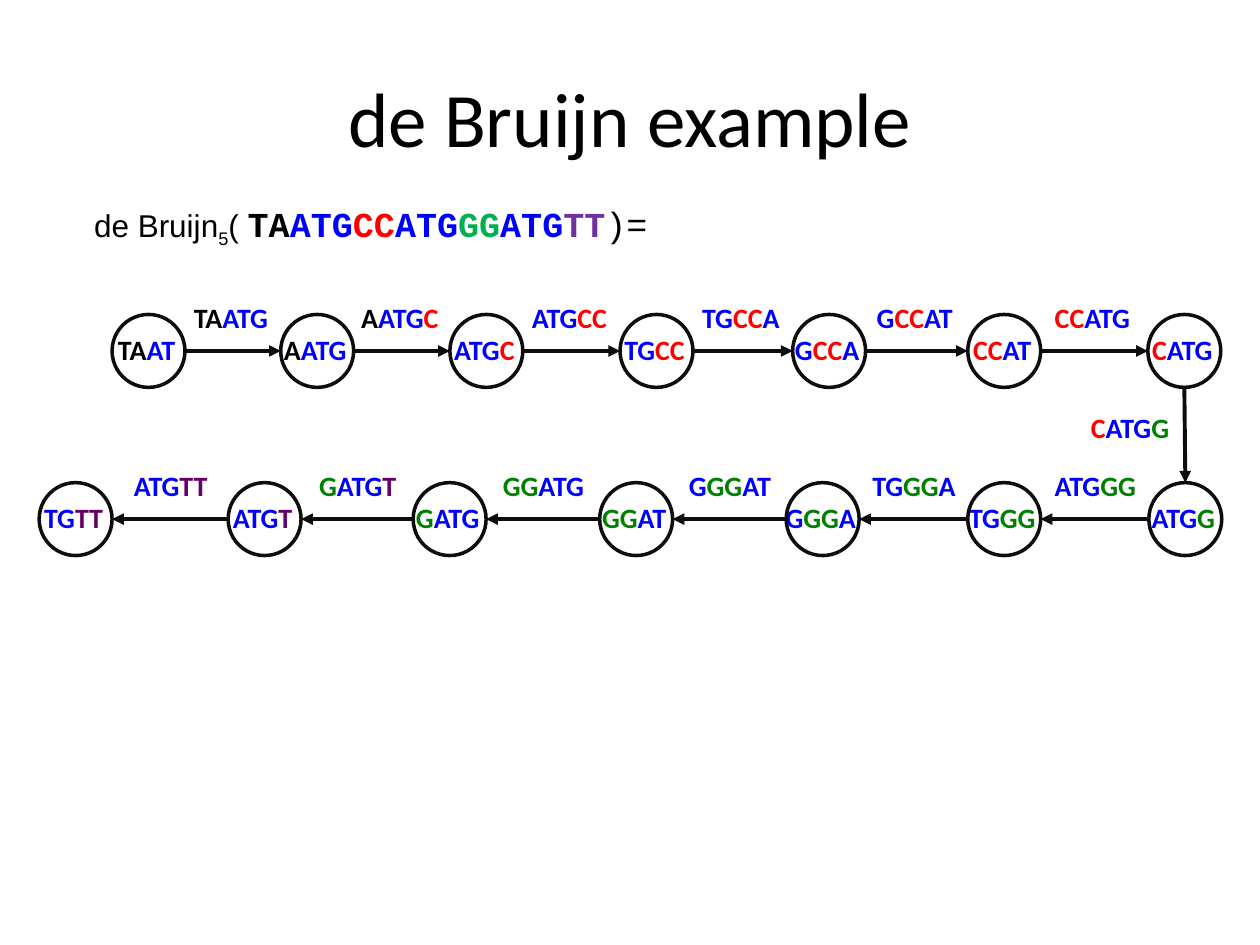
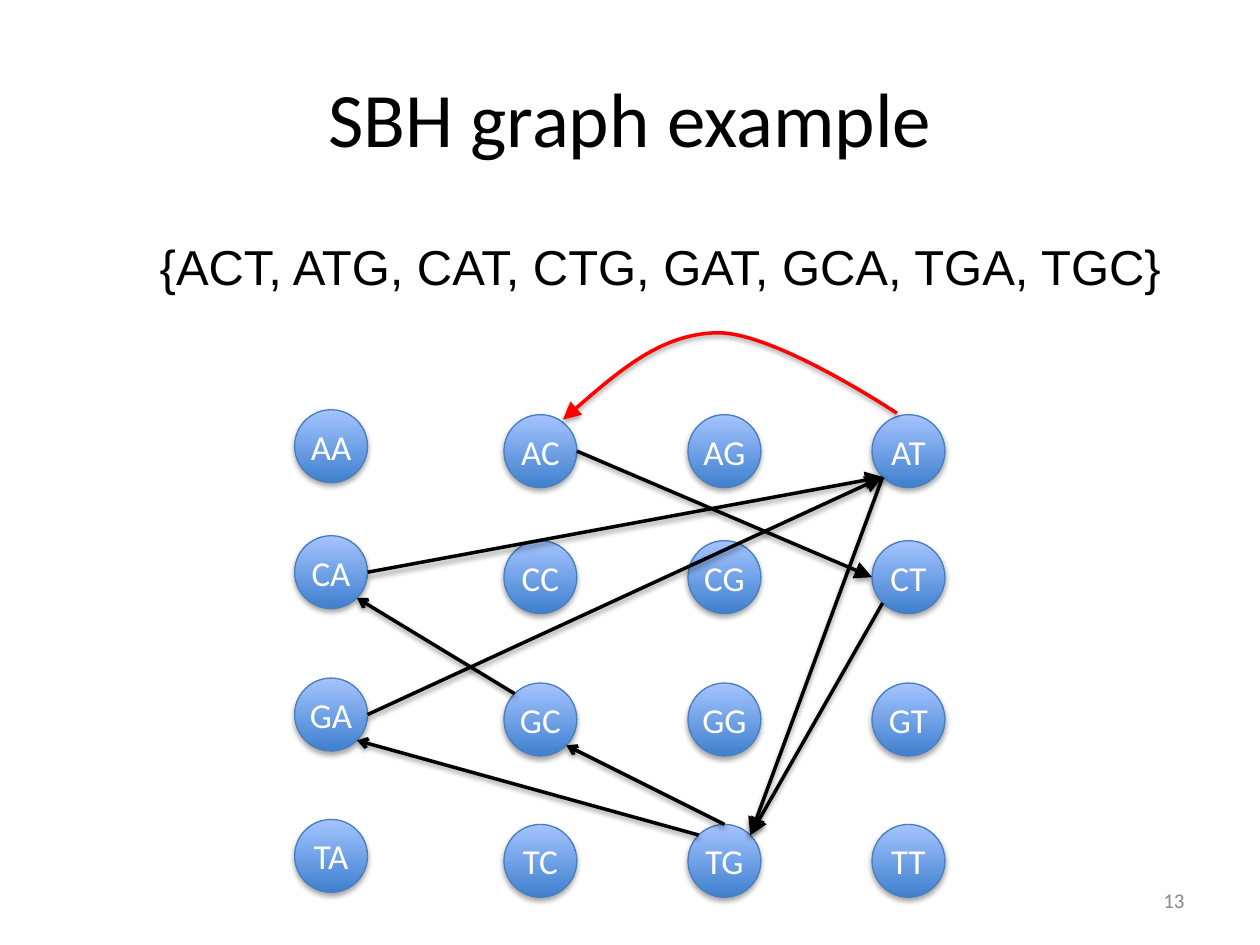
from itertools import product

from lxml import etree
from pptx import Presentation
from pptx import util as u
from pptx.dml.color import RGBColor
from pptx.enum import shapes as kinds, text as txt
from pptx.oxml.ns import qn

COLORS = {
    "ink": "000000", "outline": "0D0D0D", "white": "FFFFFF", "page_number": "898989",
    "repeat": "0000FF", "first_insert": "FF0000", "second_insert": "008000",
    "ending": "660066", "formula_second": "00B050", "formula_ending": "7030A0",
    "node_dark": "3F80CE", "node_light": "A4C4FF", "node_edge": "4B7EBC",
    "missing_edge": "FF0000",
}
HEADING_FONT, BODY_FONT, CODE_FONT = "Calibri", "Arial", "Courier New"
NODE = 1.47
KMER_WIDTHS = {4: 2.1, 5: 2.5}

# Sequence pieces and the colour of their letters
PIECES = [("TA", "ink"), ("ATG", "repeat"), ("CC", "first_insert"), ("ATG", "repeat"),
          ("GG", "second_insert"), ("ATG", "repeat"), ("TT", "ending")]
LETTERS = [(letter, color) for piece, color in PIECES for letter in piece]
FORMULA_COLORS = {"second_insert": "formula_second", "ending": "formula_ending"}

DIAGONAL = 0.71
SIDES = {"N": (0, -1), "E": (1, 0), "W": (-1, 0),
         "NE": (DIAGONAL, -DIAGONAL), "NW": (-DIAGONAL, -DIAGONAL),
         "SE": (DIAGONAL, DIAGONAL), "SW": (-DIAGONAL, DIAGONAL)}


def rgb(name):
    return RGBColor.from_string(COLORS[name])


def cm(*lengths):
    return [u.Cm(length) for length in lengths]


def add_run(paragraph, words, size, font, color="ink", bold=False):
    run = paragraph.add_run()
    run.text = words
    run.font.size, run.font.name, run.font.bold = u.Pt(size), font, bold
    run.font.color.rgb = rgb(color)
    return run


def add_text(shapes, left, top, width, height, wrap=True):
    """Add a text box that grows with its text; return its paragraph."""
    frame = shapes.add_textbox(*cm(left, top, width, height)).text_frame
    frame.word_wrap = wrap
    frame.auto_size = txt.MSO_AUTO_SIZE.SHAPE_TO_FIT_TEXT
    return frame.paragraphs[0]


def set_line(shape, color, width, head=None, tail=None, tip_size="med"):
    shape.line.color.rgb = rgb(color)
    shape.line.width = u.Pt(width)
    outline = shape.element.spPr.find(qn("a:ln"))
    for end, kind in (("a:headEnd", head), ("a:tailEnd", tail)):
        if kind:
            etree.SubElement(outline, qn(end), type=kind, w=tip_size, len=tip_size)


def set_shadow(shape, opacity=0, distance=0):
    """Give the shape a soft shadow below it, or none at opacity 0."""
    effects = etree.SubElement(shape.element.spPr, qn("a:effectLst"))
    if opacity:
        shadow = etree.SubElement(effects, qn("a:outerShdw"), blurRad=str(u.Pt(3.1)),
                                  dist=str(u.Pt(distance)), dir="5400000", rotWithShape="0")
        color = etree.SubElement(shadow, qn("a:srgbClr"), val=COLORS["ink"])
        etree.SubElement(color, qn("a:alpha"), val=str(opacity * 1000))


def add_arrow(shapes, start, end, color, width, tail="triangle", tip_size="med"):
    arrow = shapes.add_connector(kinds.MSO_CONNECTOR.STRAIGHT, *cm(*start, *end))
    set_line(arrow, color, width, tail=tail, tip_size=tip_size)
    return arrow


def add_circle(shapes, left, top):
    return shapes.add_shape(kinds.MSO_SHAPE.OVAL, *cm(left, top, NODE, NODE))


def add_titled_slide(deck, heading):
    slide = deck.slides.add_slide(deck.slide_layouts[5])
    title = slide.shapes.title
    title.left, title.top, title.width, title.height = cm(1.27, 0.76, 22.86, 3.18)
    title.text_frame.vertical_anchor = txt.MSO_ANCHOR.MIDDLE
    paragraph = title.text_frame.paragraphs[0]
    paragraph.alignment = txt.PP_ALIGN.CENTER
    add_run(paragraph, heading, 44, HEADING_FONT)
    return slide


def add_kmer(shapes, start, length, center, top):
    """Write the letters of the sequence from start, centred, in their colours."""
    width = KMER_WIDTHS[length]
    paragraph = add_text(shapes, center - 0.04 - width / 2, top, width, 0.94, wrap=False)
    paragraph.alignment = txt.PP_ALIGN.CENTER
    runs = []
    for letter, color in LETTERS[start:start + length]:
        if runs and runs[-1][1] == color:
            runs[-1][0] += letter
        else:
            runs.append([letter, color])
    for words, color in runs:
        add_run(paragraph, words, 16, HEADING_FONT, color, bold=True)


def add_formula(slide, left, top):
    paragraph = add_text(slide.shapes, left, top, 14.88, 1.12)
    add_run(paragraph, " ", 18, BODY_FONT, bold=True)
    add_run(paragraph, "de Bruijn", 18, BODY_FONT)
    order = add_run(paragraph, "5", 18, BODY_FONT)
    order.font._element.set("baseline", "-25000")
    add_run(paragraph, "( ", 18, BODY_FONT)
    for piece, color in PIECES:
        add_run(paragraph, piece, 20, CODE_FONT, FORMULA_COLORS.get(color, color), bold=True)
    add_run(paragraph, ")=", 20, CODE_FONT)


def add_kmer_row(shapes, first, lefts, top, direction, label_shift=0):
    """Draw a row of 4-mers joined by 5-mers; direction is 1 rightwards, -1 leftwards."""
    middle = top + NODE / 2
    for step, left in enumerate(lefts):
        center = left + NODE / 2
        add_kmer(shapes, first + step, 4, center, top + 0.24)
        circle = add_circle(shapes, left, top)
        circle.fill.background()
        set_line(circle, "outline", 2)
        set_shadow(circle)
        if step + 1 < len(lefts):
            reach = direction * NODE / 2
            start, end = center + reach, lefts[step + 1] + NODE / 2 - reach
            set_shadow(add_arrow(shapes, (start, middle), (end, middle), "outline", 2.25))
            add_kmer(shapes, first + step, 5, (start + end) / 2 + label_shift, top - 0.41)


def add_de_bruijn_graph(slide, left, top):
    upper = [left + x for x in (1.47, 4.87, 8.28, 11.71, 15.19, 18.72, 22.35)]
    lower = [left + x for x in (22.37, 18.72, 15.06, 11.3, 7.54, 3.81, 0)]
    lower_top = top + 3.39
    graph = slide.shapes.add_group_shape().shapes
    add_kmer_row(graph, 0, upper, top, 1)
    turn = len(upper) - 1
    set_shadow(add_arrow(graph, (upper[-1] + NODE / 2, top + NODE),
                         (lower[0] + NODE / 2, lower_top), "outline", 2.25))
    add_kmer(graph, turn, 5, upper[-1] - 0.32, top + 1.81)
    add_kmer_row(graph, turn + 1, lower, lower_top, -1, label_shift=0.05)


def add_dimer(shapes, dimer, left, top):
    circle = add_circle(shapes, left, top)
    circle.fill.gradient()
    circle.fill.gradient_angle = 90
    for stop, color in zip(circle.fill.gradient_stops, ("node_dark", "node_light")):
        stop.color.rgb = rgb(color)
    set_line(circle, "node_edge", 0.75)
    set_shadow(circle, 35, 1.8)
    frame = circle.text_frame
    frame.margin_left = frame.margin_top = frame.margin_right = frame.margin_bottom = 0
    frame.vertical_anchor = txt.MSO_ANCHOR.MIDDLE
    frame.paragraphs[0].alignment = txt.PP_ALIGN.CENTER
    add_run(frame.paragraphs[0], dimer, 20, HEADING_FONT, "white")


def add_curve(shapes, points):
    """Draw Bezier segments: a start, then two controls and an end for each."""
    points = [tuple(cm(*point)) for point in points]
    builder = shapes.build_freeform(*points[0])
    builder.add_line_segments(points[1:], close=False)
    curve = builder.convert_to_shape()
    outline = curve.element.spPr.find(".//" + qn("a:path"))
    corners = outline.findall(qn("a:lnTo"))
    for first in range(0, len(corners), 3):
        segment = etree.SubElement(outline, qn("a:cubicBezTo"))
        for corner in corners[first:first + 3]:
            segment.append(corner[0])
            outline.remove(corner)
    curve.fill.background()
    return curve


def add_sbh_graph(slide, left, top):
    columns = dict(zip("ACGT", (0, 4.22, 7.93, 11.64)))
    rows = dict(zip("ACGT", (0, 2.54, 5.41, 8.26)))
    corners = {}
    for row, column in product("ACGT", repeat=2):
        drop = 0 if column == "A" else 0.1
        corners[row + column] = left + columns[column], top + rows[row] + drop
        add_dimer(slide.shapes, row + column, *corners[row + column])

    def site(dimer, side):
        return [corner + NODE / 2 * (1 + way)
                for corner, way in zip(corners[dimer], SIDES[side])]

    tip_sizes = {"triangle": "lg", "arrow": "med"}
    for source, leave, target, enter, tip in (
            ("AC", "E", "CT", "W", "triangle"),
            ("AT", "SW", "TG", "NE", "triangle"),
            ("CA", "E", "AT", "SW", "triangle"),
            ("CT", "SW", "TG", "NE", "triangle"),
            ("GA", "E", "AT", "SW", "triangle"),
            ("GC", "NW", "CA", "SE", "arrow"),
            ("TG", "NW", "GA", "SE", "arrow"),
            ("TG", "N", "GC", "SE", "arrow")):
        arrow = add_arrow(slide.shapes, site(source, leave), site(target, enter),
                          "ink", 2, tip, tip_sizes[tip])
        set_shadow(arrow, 38, 1.6)

    bend = [(5.41, 0.2), (6.4, -0.67), (7.4, -1.53), (8.51, -1.55),
            (9.66, -1.58), (12.14, 0.07), (12.14, 0.07)]
    missing_edge = add_curve(slide.shapes, [(left + x, top + y) for x, y in bend])
    set_line(missing_edge, "missing_edge", 2, head="triangle", tip_size="lg")
    set_shadow(missing_edge, 38, 1.6)


def add_spectrum(slide, left, top):
    paragraph = add_text(slide.shapes, left, top, 22.02, 1.45)
    paragraph.level = 1
    add_run(paragraph, "{ACT, ATG, CAT, CTG, GAT, GCA, TGA, TGC}", 28, BODY_FONT)


def add_page_number(slide, number):
    box = slide.shapes.add_textbox(*cm(18.2, 17.65, 5.93, 1.01))
    box.text_frame.word_wrap = True
    box.text_frame.vertical_anchor = txt.MSO_ANCHOR.MIDDLE
    paragraph = box.text_frame.paragraphs[0]
    paragraph.alignment = txt.PP_ALIGN.RIGHT
    add_run(paragraph, number, 12, HEADING_FONT, "page_number")


def main():
    deck = Presentation()
    deck.slide_width, deck.slide_height = cm(25.4, 19.05)

    de_bruijn = add_titled_slide(deck, "de Bruijn example")
    add_formula(de_bruijn, 1.47, 3.96)
    add_de_bruijn_graph(de_bruijn, 0.79, 6.34)

    sbh = add_titled_slide(deck, "SBH graph example")
    add_spectrum(sbh, 1.7, 4.65)
    add_sbh_graph(sbh, 5.94, 8.26)
    add_page_number(sbh, "13")

    deck.save("out.pptx")


if __name__ == "__main__":
    main()
